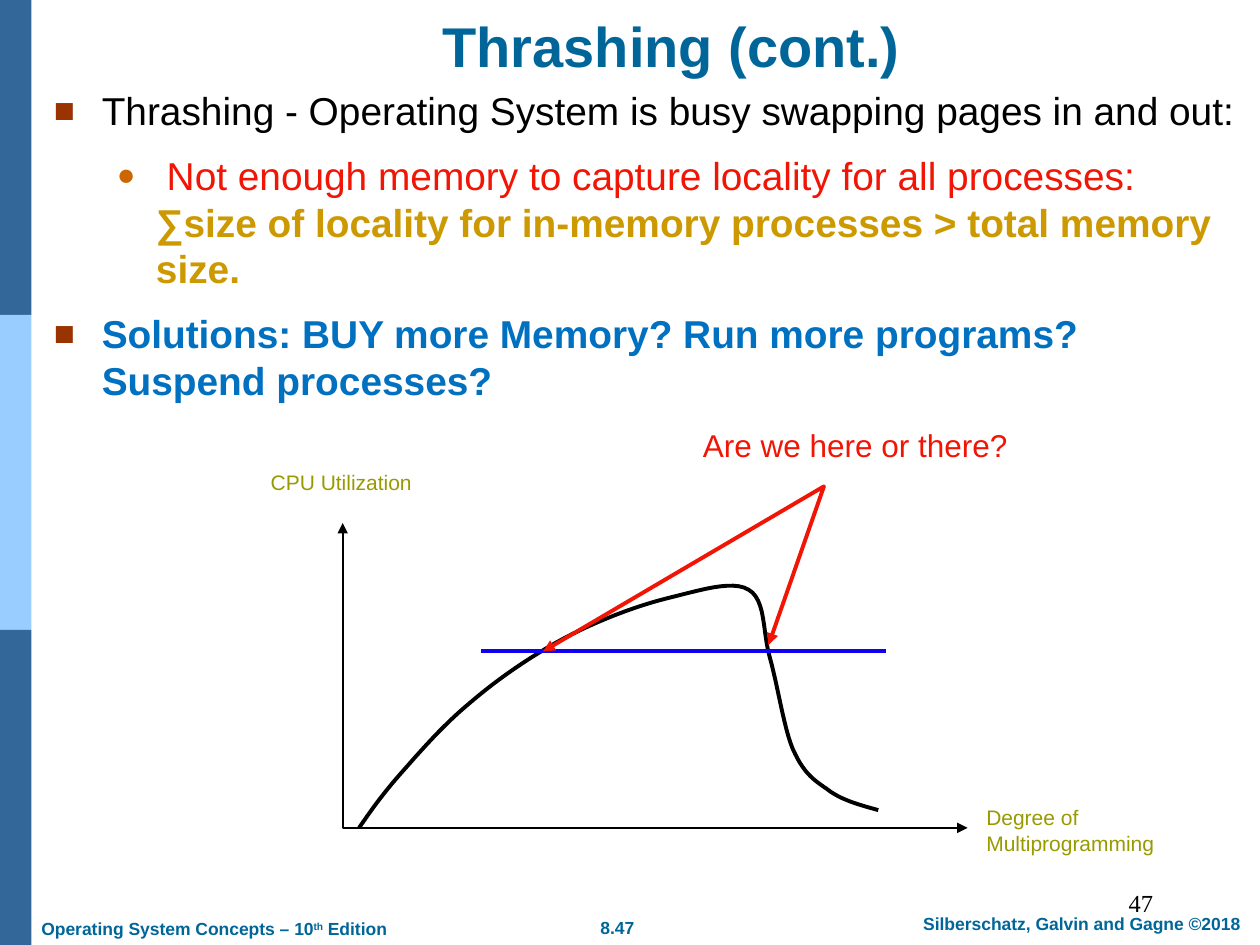
import pptx
import pptx.util
import pptx.dml.color
import pptx.enum.shapes
import pptx.enum.text
import pptx.oxml.ns
from lxml import etree

Inches, Pt = pptx.util.Inches, pptx.util.Pt
ALIGN = pptx.enum.text.PP_ALIGN
ANCHOR = pptx.enum.text.MSO_ANCHOR

TEAL, OLIVE, RED, BLACK, BLUE = "006699", "999900", "F01504", "000000", "1002F1"

STRIPES = ["336699", "99CCFF", "336699"]

LABELS = [
    dict(at=(1.08, 0.17, 8.5, 0.37), lines=["Thrashing (cont.)"], size=32, color=TEAL,
         bold=True, align=ALIGN.CENTER, anchor=ANCHOR.MIDDLE),
    dict(at=(4.41, 7.23, 0.98, 0.27), lines=["8.47"], size=10, color=TEAL,
         bold=True, align=ALIGN.CENTER, wrap=False),
    dict(at=(7.1, 7.2, 2.97, 0.27), lines=["Silberschatz, Galvin and Gagne ©2018"],
         size=10, color=TEAL, bold=True, align=ALIGN.CENTER),
    dict(at=(7.17, 6.83, 2.08, 0.5), lines=["47"], size=14, color=BLACK,
         align=ALIGN.RIGHT, anchor=ANCHOR.BOTTOM, font="Times New Roman"),
    dict(at=(2.05, 3.68, 1.32, 0.3), lines=["CPU Utilization"], size=12, color=OLIVE,
         wrap=False),
    dict(at=(7.73, 6.34, 1.6, 0.5), lines=["Degree of", "Multiprogramming"], size=12,
         color=OLIVE, wrap=False),
    dict(at=(5.48, 3.33, 2.62, 0.4), lines=["Are we here or there?"], size=18, color=RED,
         wrap=False),
]

EDITION = [("Operating System Concepts – 10", 0), ("th", 30000), (" Edition", 0)]

BULLETS = [
    (0, [("Thrashing - Operating System is busy swapping pages in and out:", BLACK, False)]),
    (1, [(" Not enough memory to capture locality for all processes:\v", RED, False),
         ("∑size of locality for in-memory processes > total memory size.", "CC9900", True)]),
    (0, [("Solutions: BUY more Memory? Run more programs? Suspend processes?", "0070C0", True)]),
]
LEVELS = [
    dict(left=0.38, hang=0.38, char="■", color="993300", percent=90),
    dict(left=0.81, hang=0.31, char="●", color="CC6600", percent=80),
]

AXES = [(2.72, 4.15), (2.72, 6.57), (7.68, 6.57)]
POINTERS = [(4.31, 5.17), (6.54, 3.86), (6.1, 5.12)]
LEVEL_LINE = [(3.82, 5.17), (7.03, 5.17)]
CURVE = [
    (2.85, 6.57),
    (2.94, 6.44), (3.03, 6.31), (3.18, 6.14),
    (3.33, 5.97), (3.52, 5.75), (3.74, 5.57),
    (3.95, 5.39), (4.21, 5.21), (4.47, 5.07),
    (4.73, 4.93), (5.05, 4.81), (5.29, 4.75),
    (5.54, 4.69), (5.81, 4.6), (5.94, 4.68),
    (6.08, 4.76), (6.05, 5.01), (6.11, 5.22),
    (6.17, 5.43), (6.22, 5.77), (6.29, 5.94),
    (6.37, 6.12), (6.44, 6.18), (6.56, 6.26),
    (6.67, 6.35), (6.83, 6.39), (6.97, 6.43),
]


def rgb(value):
    return pptx.dml.color.RGBColor.from_string(value)


def child(parent, tag, **attrs):
    return etree.SubElement(parent, pptx.oxml.ns.qn(tag), attrs)


def style(font, size, color, bold=False, name="Arial"):
    font.name, font.size, font.bold = name, Pt(size), bold
    font.color.rgb = rgb(color)


def text_frame(s, at, wrap=True, anchor=ANCHOR.TOP):
    tf = s.shapes.add_textbox(*map(Inches, at)).text_frame
    tf.word_wrap = wrap
    tf.vertical_anchor = anchor
    if not wrap:
        tf.auto_size = pptx.enum.text.MSO_AUTO_SIZE.SHAPE_TO_FIT_TEXT
    return tf


def add_label(s, at, lines, size, color, bold=False, align=ALIGN.LEFT,
              anchor=ANCHOR.TOP, wrap=True, font="Arial"):
    tf = text_frame(s, at, wrap, anchor)
    tf.text = "\n".join(lines)
    for p in tf.paragraphs:
        p.alignment = align
        for r in p.runs:
            style(r.font, size, color, bold, font)


def add_edition(s):
    p = text_frame(s, (0.23, 7.24, 2.94, 0.27), wrap=False).paragraphs[0]
    for text, baseline in EDITION:
        r = p.add_run()
        r.text = text
        style(r.font, 10, TEAL, True)
        if baseline:
            r._r.get_or_add_rPr().set("baseline", str(baseline))


def add_bullets(s):
    tf = text_frame(s, (0.33, 0.64, 9.67, 3.1))
    for i, (level, parts) in enumerate(BULLETS):
        p = tf.add_paragraph() if i else tf.paragraphs[0]
        look = LEVELS[level]
        p.level = level
        if i:
            p.space_before = Pt(10.5)
        pPr = p._p.get_or_add_pPr()
        pPr.set("marL", str(Inches(look["left"])))
        pPr.set("indent", str(-Inches(look["hang"])))
        child(child(pPr, "a:buClr"), "a:srgbClr", val=look["color"])
        child(pPr, "a:buSzPct", val=str(look["percent"] * 1000))
        child(pPr, "a:buFont", typeface="Arial")
        child(pPr, "a:buChar", char=look["char"])
        for text, color, bold in parts:
            line, *rest = text.split("\v")
            r = p.add_run()
            r.text = line
            style(r.font, 22.2, color, bold)
            if rest:
                p.add_line_break()


def add_polyline(s, points, color, width, arrows=False):
    emu = [(Inches(x), Inches(y)) for x, y in points]
    builder = s.shapes.build_freeform(*emu[0])
    builder.add_line_segments(emu[1:], close=False)
    sp = builder.convert_to_shape()
    sp.shadow.inherit = False
    sp.fill.background()
    sp.line.color.rgb = rgb(color)
    sp.line.width = Pt(width)
    if arrows:
        ln = sp.line._get_or_add_ln()
        for tag in ("a:headEnd", "a:tailEnd"):
            child(ln, tag, type="triangle")


def bezier_points(nodes, steps=12):
    points = [nodes[0]]
    for i in range(0, len(nodes) - 1, 3):
        a, b, c, d = nodes[i:i + 4]
        for t in (k / steps for k in range(1, steps + 1)):
            u = 1 - t
            points.append(tuple(
                u**3 * a[j] + 3 * u * u * t * b[j] + 3 * u * t * t * c[j] + t**3 * d[j]
                for j in (0, 1)))
    return points


def add_line(s, start, end, color, width):
    line = s.shapes.add_connector(pptx.enum.shapes.MSO_CONNECTOR.STRAIGHT,
                                  *map(Inches, start + end))
    line.line.color.rgb = rgb(color)
    line.line.width = Pt(width)
    child(line._element.spPr, "a:effectLst")


def main():
    prs = pptx.Presentation()
    prs.slide_width, prs.slide_height = Inches(10), Inches(7.5)
    s = prs.slides.add_slide(prs.slide_layouts[6])
    for i, color in enumerate(STRIPES):
        sp = s.shapes.add_shape(pptx.enum.shapes.MSO_SHAPE.RECTANGLE, 0, Inches(2.5 * i),
                                Inches(0.25), Inches(2.5))
        sp.shadow.inherit = False
        sp.fill.solid()
        sp.fill.fore_color.rgb = rgb(color)
        sp.line.fill.background()
    add_edition(s)
    add_bullets(s)
    add_polyline(s, AXES, BLACK, 1, arrows=True)
    add_polyline(s, bezier_points(CURVE), BLACK, 2.25)
    add_line(s, *LEVEL_LINE, BLUE, 2.25)
    add_polyline(s, POINTERS, RED, 2.25, arrows=True)
    for label in LABELS:
        add_label(s, **label)
    prs.save("out.pptx")


if __name__ == "__main__":
    main()
